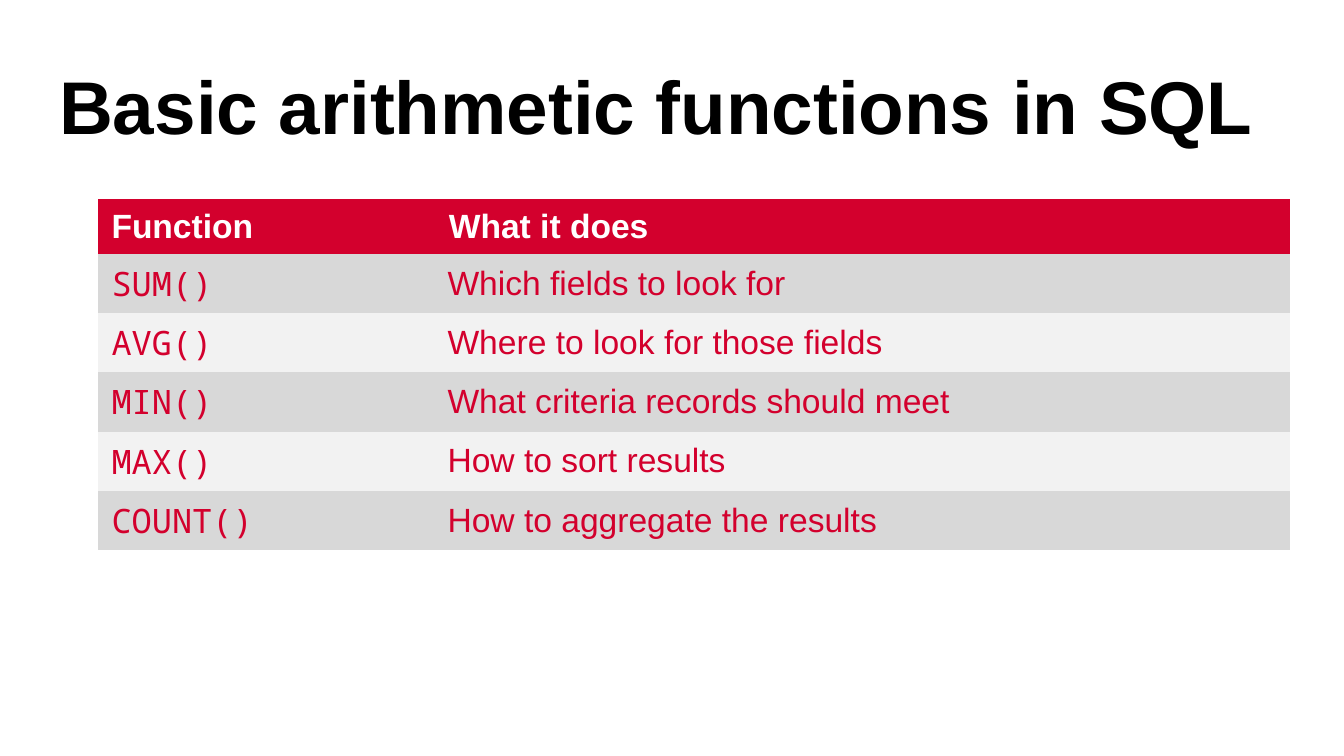
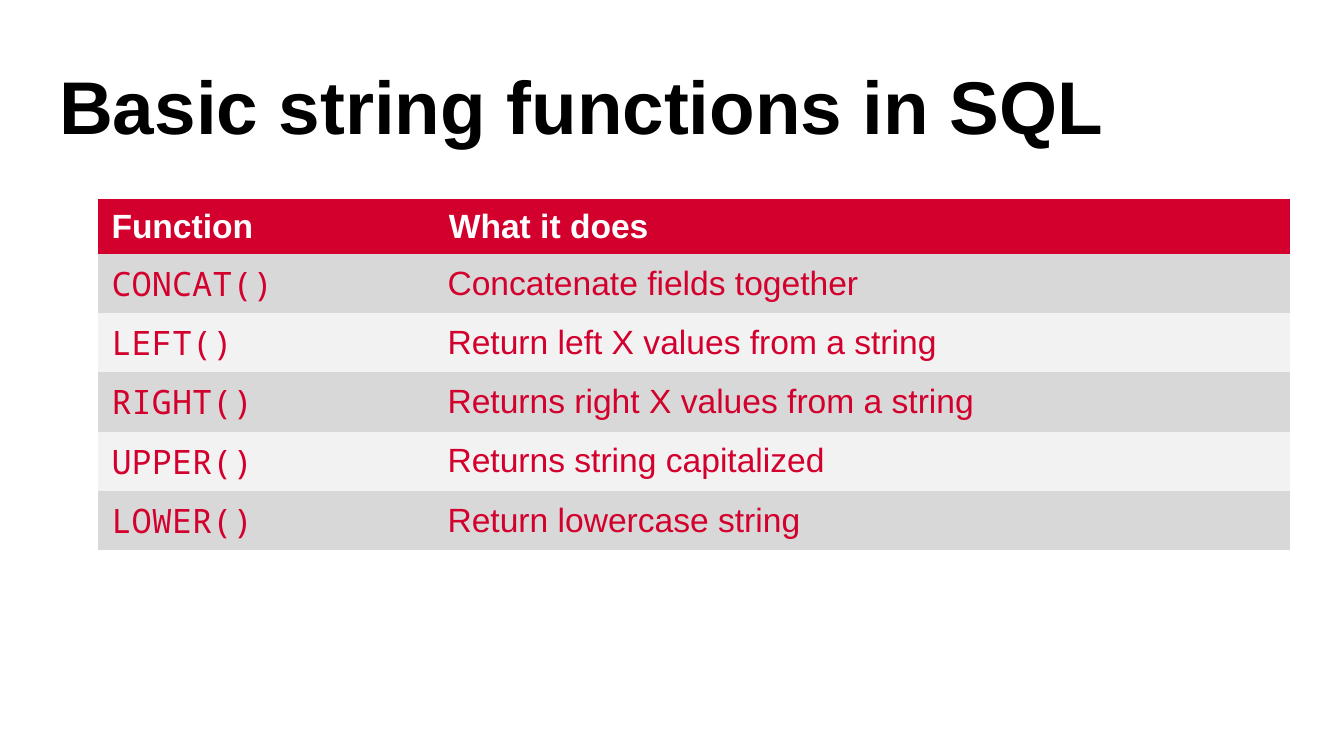
from lxml.etree import SubElement
from pptx import Presentation
from pptx.dml.color import RGBColor
from pptx.enum.text import MSO_ANCHOR as Anchor, MSO_AUTO_SIZE as AutoSize, PP_ALIGN as Align
from pptx.oxml.ns import qn
from pptx.util import Inches, Pt

COLORS = {
    "title": "000000",
    "accent": "D3002D",
    "header_text": "FFFFFF",
    "odd_row": "D8D8D8",
    "even_row": "F2F2F2",
}
SANS, MONO = "Arial", "Noto Sans Mono"
PLAIN_TABLE_STYLE = "{2D5ABB26-0587-4C30-8999-92F81FD0307C}"
TITLE_ONLY = 5
SLIDE_WIDTH = 10
COLUMN_WIDTHS = (2.5, 6.37)
ROW_HEIGHT = 0.41
HEADER = ("Function", "What it does")

SLIDES = (
    ("Basic arithmetic functions in SQL", (
        ("SUM()", "Which fields to look for"),
        ("AVG()", "Where to look for those fields"),
        ("MIN()", "What criteria records should meet"),
        ("MAX()", "How to sort results"),
        ("COUNT()", "How to aggregate the results"),
    )),
    ("Basic string functions in SQL", (
        ("CONCAT()", "Concatenate fields together"),
        ("LEFT()", "Return left X values from a string"),
        ("RIGHT()", "Returns right X values from a string"),
        ("UPPER()", "Returns string capitalized"),
        ("LOWER()", "Return lowercase string"),
    )),
)


class FunctionDeck:
    def __init__(self):
        self.deck = Presentation()
        self.deck.slide_width = Inches(SLIDE_WIDTH)
        self.deck.slide_height = Inches(SLIDE_WIDTH * 9 / 16)
        self.page = None

    def add_page(self):
        self.page = self.deck.slides.add_slide(self.deck.slide_layouts[TITLE_ONLY])

    def style_runs(self, paragraph, font, size, color, bold=False):
        for span in paragraph.runs:
            span.font.name = font
            span.font.size = Pt(size)
            span.font.bold = bold
            span.font.color.rgb = RGBColor.from_string(COLORS[color])

    def title(self, text):
        box = self.page.shapes.title
        box.left, box.top = Inches(0.44), Inches(0.38)
        box.width, box.height = Inches(8.96), Inches(0.74)
        frame = box.text_frame
        frame.text = text
        frame.word_wrap = True
        frame.auto_size = AutoSize.NONE
        frame.vertical_anchor = Anchor.BOTTOM
        frame.margin_left = frame.margin_right = 0
        frame.margin_top = frame.margin_bottom = 0
        paragraph = frame.paragraphs[0]
        paragraph.alignment = Align.LEFT
        paragraph.line_spacing = 0.9
        self.style_runs(paragraph, SANS, 40, "title", True)

    def cell(self, cell, text, fill, font, color, bold=False):
        cell.fill.solid()
        cell.fill.fore_color.rgb = RGBColor.from_string(COLORS[fill])
        cell.vertical_anchor = Anchor.MIDDLE
        paragraph = cell.text_frame.paragraphs[0]
        paragraph.text = text
        self.style_runs(paragraph, font, 18, color, bold)
        return paragraph

    def tab_stop(self, paragraph, position):
        properties = paragraph._p.get_or_add_pPr()
        stops = SubElement(properties, qn("a:tabLst"))
        SubElement(stops, qn("a:tab"), pos=str(Inches(position)), algn="l")

    def function_table(self, rows):
        count = len(rows) + 1
        table = self.page.shapes.add_table(
            count, len(COLUMN_WIDTHS), Inches(0.73), Inches(1.48),
            Inches(sum(COLUMN_WIDTHS)), Inches(ROW_HEIGHT * count)).table
        table._tbl.tblPr.find(qn("a:tableStyleId")).text = PLAIN_TABLE_STYLE
        table.horz_banding = False
        for column, width in zip(table.columns, COLUMN_WIDTHS):
            column.width = Inches(width)
        for row in table.rows:
            row.height = Inches(ROW_HEIGHT)

        table.cell(0, 0).merge(table.cell(0, 1))
        heading = self.cell(table.cell(0, 0), "\t".join(HEADER), "accent",
                            SANS, "header_text", True)
        self.tab_stop(heading, COLUMN_WIDTHS[0] + 0.01)
        for index, texts in enumerate(rows, 1):
            fill = "odd_row" if index % 2 else "even_row"
            for column, (text, font) in enumerate(zip(texts, (MONO, SANS))):
                self.cell(table.cell(index, column), text, fill, font, "accent")


def main():
    builder = FunctionDeck()
    for title, rows in SLIDES:
        builder.add_page()
        builder.title(title)
        builder.function_table(rows)
    builder.deck.save("out.pptx")


if __name__ == "__main__":
    main()
